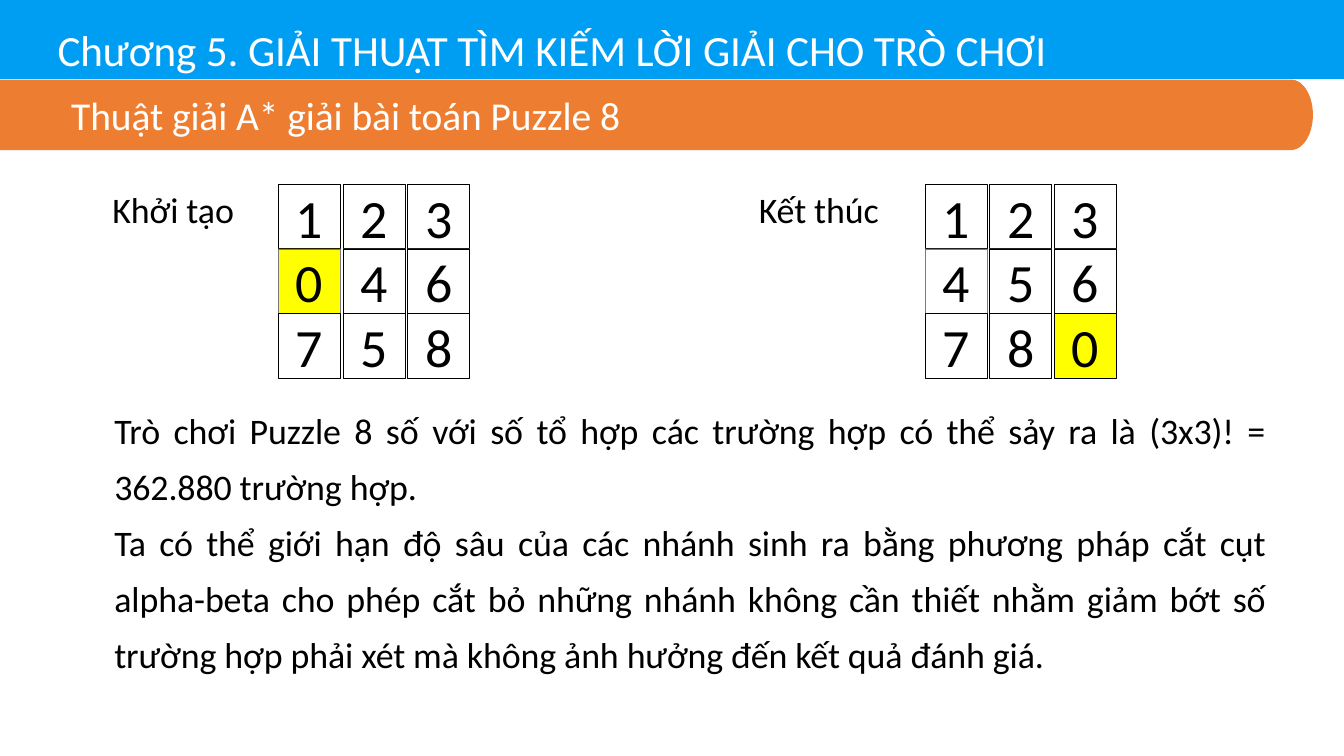
import math

import pptx
import pptx.dml.color
import pptx.enum.shapes
import pptx.enum.text
import pptx.util

Pt = pptx.util.Pt
RGBColor = pptx.dml.color.RGBColor
ALIGN = pptx.enum.text.PP_ALIGN
ANCHOR = pptx.enum.text.MSO_ANCHOR
AUTO_SIZE = pptx.enum.text.MSO_AUTO_SIZE
RECTANGLE = pptx.enum.shapes.MSO_SHAPE.RECTANGLE

BLUE = RGBColor(0x00, 0x9E, 0xF3)
ORANGE = RGBColor(0xED, 0x7D, 0x31)
YELLOW = RGBColor(0xFF, 0xFF, 0x00)
GREY = RGBColor(0x7A, 0x7A, 0x7A)
BLACK = RGBColor(0x00, 0x00, 0x00)
WHITE = RGBColor(0xFF, 0xFF, 0xFF)

SLIDE_WIDTH, SLIDE_HEIGHT = 1496.88, 841.68
TILE_PITCH, TILE_WIDTH = 72, 69.12
FONT = "Calibri"

BODY_FRAME = {"word_wrap": True, "auto_size": AUTO_SIZE.SHAPE_TO_FIT_TEXT}
TITLE_FRAME = {**BODY_FRAME, "margin_left": 0, "margin_right": 0,
               "margin_top": Pt(0.72), "margin_bottom": 0}
TOPIC_FRAME = {"word_wrap": True, "vertical_anchor": ANCHOR.MIDDLE, "margin_left": Pt(79.2)}
TILE_FRAME = {"word_wrap": True, "vertical_anchor": ANCHOR.MIDDLE}

CHAPTER = "Chương 5. GIẢI THUẬT TÌM KIẾM LỜI GIẢI CHO TRÒ CHƠI"
TOPIC = "Thuật giải A* giải bài toán Puzzle 8"
EXPLANATION = [
    "Trò chơi Puzzle 8 số với số tổ hợp các trường hợp có thể sảy ra là (3x3)! = "
    "362.880 trường hợp.",
    "Ta có thể giới hạn độ sâu của các nhánh sinh ra bằng phương pháp cắt cụt "
    "alpha-beta cho phép cắt bỏ những nhánh không cần thiết nhằm giảm bớt số "
    "trường hợp phải xét mà không ảnh hưởng đến kết quả đánh giá.",
]


def set_all(target, values):
    for key, value in values.items():
        setattr(target, key, value)


def write(holder, lines, size, color, frame_format, paragraph_format, spacing=-10):
    """Fill a shape with paragraphs; spacing is in hundredths of a point."""
    frame = holder.text_frame
    set_all(frame, frame_format)
    for index, line in enumerate(lines):
        paragraph = frame.add_paragraph() if index else frame.paragraphs[0]
        set_all(paragraph, paragraph_format)
        run = paragraph.add_run()
        run.text = line
        set_all(run.font, {"name": FONT, "size": Pt(size)})
        run.font.color.rgb = color
        if spacing:
            run._r.get_or_add_rPr().set("spc", str(spacing))


def paint(shape, fill, line=None):
    shape.shadow.inherit = False
    shape.fill.solid()
    shape.fill.fore_color.rgb = fill
    if line is None:
        shape.line.fill.background()
    else:
        shape.line.color.rgb = line
        shape.line.width = Pt(1)


def add_text(slide, box, lines, size, color, frame_format, paragraph_format):
    holder = slide.shapes.add_textbox(*map(Pt, box))
    write(holder, lines, size, color, frame_format, paragraph_format)


def add_chapter_bar(slide, left, top, width, height):
    bar = slide.shapes.add_shape(RECTANGLE, Pt(left), Pt(top), Pt(width), Pt(height))
    paint(bar, BLUE)
    add_text(slide, (left + 64.08, top + 25.2, 1350, 59.04), [CHAPTER], 48, WHITE,
             TITLE_FRAME, {"space_before": Pt(1)})


def add_topic_tab(slide, left, top, width, height):
    # Straight on the left, half an ellipse on the right
    end_width, middle = 24.48, top + height / 2
    turn = left + width - end_width
    rounded_end = [
        (Pt(turn + end_width * math.cos(math.radians(angle))),
         Pt(middle + height / 2 * math.sin(math.radians(angle))))
        for angle in range(-90, 91, 5)
    ]
    outline = slide.shapes.build_freeform(Pt(left), Pt(top))
    outline.add_line_segments(rounded_end + [(Pt(left), Pt(top + height))], close=True)
    tab = outline.convert_to_shape()
    paint(tab, ORANGE)
    write(tab, [TOPIC], 44, WHITE, TOPIC_FRAME, {"alignment": ALIGN.JUSTIFY})


def add_puzzle(slide, left, top, label, numbers):
    # State name, then the 3 x 3 board
    add_text(slide, (left, top, 195.12, 55.44), [label], 40, BLACK,
             BODY_FRAME, {"alignment": ALIGN.JUSTIFY})
    board = slide.shapes.add_group_shape()
    for index, number in enumerate(numbers):
        row, column = divmod(index, 3)
        tile = board.shapes.add_shape(
            RECTANGLE, Pt(left + 192.24 + column * TILE_PITCH), Pt(top + row * TILE_PITCH),
            Pt(TILE_WIDTH), Pt(TILE_PITCH))
        paint(tile, YELLOW if number == "0" else WHITE,
              GREY if (row, column) == (1, 0) else BLACK)
        write(tile, [number], 60, BLACK, TILE_FRAME, {"alignment": ALIGN.CENTER}, spacing=0)


def add_explanation(slide, left, top, width, height):
    add_text(slide, (left, top, width, height), EXPLANATION, 40, BLACK,
             BODY_FRAME, {"alignment": ALIGN.JUSTIFY, "line_spacing": 1.3})


def main():
    deck = pptx.Presentation()
    set_all(deck, {"slide_width": Pt(SLIDE_WIDTH), "slide_height": Pt(SLIDE_HEIGHT)})
    slide = deck.slides.add_slide(deck.slide_layouts[6])

    add_chapter_bar(slide, 0, 0, SLIDE_WIDTH, 87.84)
    add_topic_tab(slide, 0, 88.56, 1462.32, 78.48)
    add_puzzle(slide, 118.08, 205.2, "Khởi tạo", "123046758")
    add_puzzle(slide, 838.08, 205.2, "Kết thúc", "123456780")
    add_explanation(slide, 120.24, 437.04, 1296.72, 379.44)

    deck.save("out.pptx")


if __name__ == "__main__":
    main()
